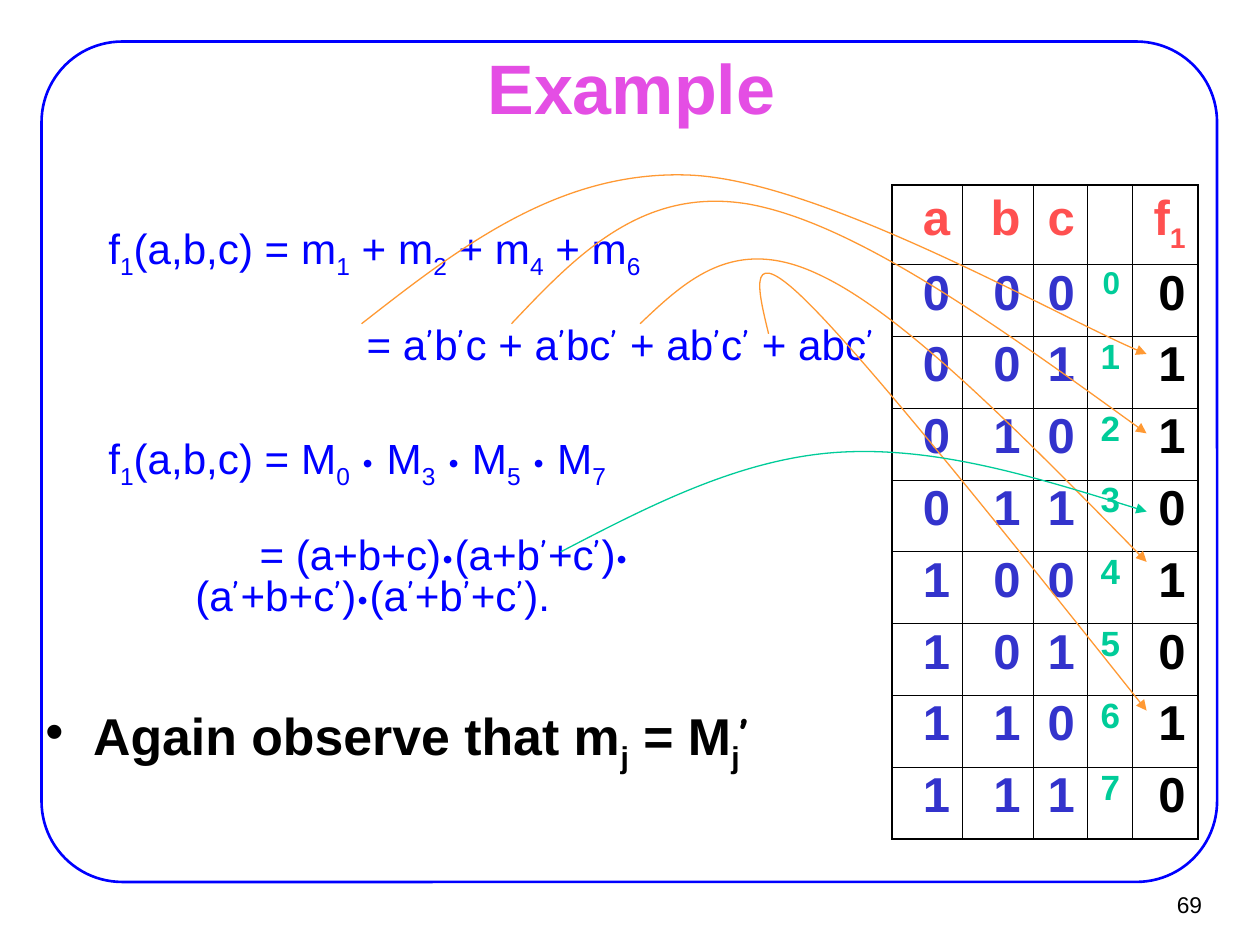
from itertools import product

from lxml.etree import SubElement
from pptx import Presentation
from pptx.dml.color import RGBColor
from pptx.enum.shapes import MSO_SHAPE
from pptx.enum.text import MSO_ANCHOR, PP_ALIGN
from pptx.oxml.ns import qn
from pptx.util import Inches, Pt

THEME = {
    "font": "Arial", "mark_font": "Comic Neue",
    "title": "E44EE4", "formula": "0000FF", "text": "000000",
    "header": "FF5050", "input": "3333CC", "index": "00CC99", "minterm": "FF9933",
    "title_size": 40, "formula_size": 24.1, "bullet_size": 29.6,
    "cell_size": 28, "index_size": 20, "first_index_size": 18, "number_size": 13,
    "thin": 0.45, "thick": 1.08,
}

TITLE = "Example"
PAGE_NUMBER = "69"
# An underscore sets the next character as a subscript.
# Each formula: text, left margin, first line indent, space before.
FORMULAS = [
    ("f_1(a,b,c) = m_1 + m_2 + m_4 + m_6", 0.81, -0.31, 0),
    ("= a’b’c + a’bc’ + ab’c’ + abc’", 2.55, 0, 30.6),
    ("f_1(a,b,c) = M_0 • M_3 • M_5 • M_7", 0.81, -0.31, 40),
    ("= (a+b+c)•(a+b’+c’)•\v(a’+b+c’)•(a’+b’+c’).", 1.19, 0.51, 31),
]
OBSERVATION = ("Again observe that m_j = M_j’", 0.38, -0.38, 52)

HEADERS = ["a", "b", "c", "", "f_1"]
MINTERMS = (1, 2, 4, 6)
COLUMN_WIDTHS = [0.56, 0.56, 0.43, 0.36, 0.52]
HEADER_HEIGHT, ROW_HEIGHT = 0.63, 0.57

# Start point, then two Bezier segments of three points each.
CURVES = [
    ("minterm", [(2.87, 2.57), (3.65, 1.96), (4.44, 1.35), (5.47, 1.39),
                 (6.51, 1.43), (8.49, 2.57), (9.1, 2.81)]),
    ("minterm", [(4.06, 2.57), (4.58, 2.02), (5.1, 1.48), (5.94, 1.62),
                 (6.78, 1.77), (7.94, 2.6), (9.1, 3.44)]),
    ("minterm", [(5.08, 2.57), (5.45, 2.22), (5.83, 1.86), (6.5, 2.18),
                 (7.17, 2.49), (8.13, 3.47), (9.1, 4.46)]),
    ("minterm", [(6.1, 2.65), (6.01, 2.28), (5.92, 1.91), (6.42, 2.41),
                 (6.92, 2.91), (8.01, 4.27), (9.1, 5.64)]),
    ("index", [(4.45, 4.38), (5.16, 4.01), (5.88, 3.64), (6.65, 3.59),
               (7.43, 3.54), (8.26, 3.8), (9.1, 4.06)]),
]


def color(name):
    return RGBColor.from_string(THEME[name])


def split_spans(text):
    """Group characters into (text, is_mark, is_subscript) spans."""
    spans, subscript = [], False
    for character in text:
        if character == "_":
            subscript = True
            continue
        style = (character in "’•", subscript)
        if spans and spans[-1][1:] == style:
            spans[-1] = (spans[-1][0] + character, *style)
        else:
            spans.append((character, *style))
        subscript = False
    return spans


def write(para, text, size, color_name, bold=False):
    for line_number, line in enumerate(text.split("\v")):
        if line_number:
            para.add_line_break()
        for words, is_mark, is_subscript in split_spans(line):
            span = para.add_run()
            span.text = words
            span.font.name = THEME["mark_font" if is_mark else "font"]
            span.font.size = Pt(size)
            span.font.bold = bold
            span.font.color.rgb = color(color_name)
            if is_subscript:
                span.font._element.set("baseline", "-25000")


def place(shape, left, top, width, height):
    shape.left, shape.top = Inches(left), Inches(top)
    shape.width, shape.height = Inches(width), Inches(height)


def set_margins(frame, side, end):
    frame.margin_left = frame.margin_right = Inches(side)
    frame.margin_top = frame.margin_bottom = Inches(end)


def add_frame(page):
    frame = page.shapes.add_shape(MSO_SHAPE.ROUNDED_RECTANGLE, Inches(0.33),
                                  Inches(0.33), Inches(9.33), Inches(6.67))
    frame.adjustments[0] = 0.096
    frame.shadow.inherit = False
    frame.fill.background()
    frame.line.color.rgb = color("formula")
    frame.line.width = Pt(1.5)


def add_title(page):
    title = page.shapes.title
    place(title, 0.76, 0.44, 8.5, 0.49)
    set_margins(title.text_frame, 0.11, 0.06)
    title.text_frame.vertical_anchor = MSO_ANCHOR.MIDDLE
    para = title.text_frame.paragraphs[0]
    para.alignment = PP_ALIGN.CENTER
    write(para, TITLE, THEME["title_size"], "title", bold=True)


def add_body(page):
    body = page.placeholders[1]
    place(body, 0.25, 1.75, 7, 4.92)
    frame = body.text_frame
    set_margins(frame, 0.11, 0.06)
    for number, line in enumerate([*FORMULAS, OBSERVATION]):
        text, margin, indent, space = line
        is_formula = line is not OBSERVATION
        para = frame.add_paragraph() if number else frame.paragraphs[0]
        para.level = 1 if is_formula else 0
        para.line_spacing = 0.8
        para.space_before = Pt(space)
        properties = para._p.get_or_add_pPr()
        properties.set("marL", str(Inches(margin)))
        properties.set("indent", str(Inches(indent)))
        if is_formula:
            SubElement(properties, qn("a:buNone"))
            write(para, text, THEME["formula_size"], "formula")
        else:
            SubElement(properties, qn("a:buChar")).set("char", "•")
            write(para, text, THEME["bullet_size"], "text", bold=True)


def set_border(cell, side, width):
    line = SubElement(cell._tc.get_or_add_tcPr(), qn(f"a:ln{side}"), w=str(Pt(width)))
    fill = SubElement(line, qn("a:solidFill"))
    SubElement(fill, qn("a:srgbClr"), val=THEME["text"])


def add_truth_table(page):
    rows = [HEADERS]
    for index, bits in enumerate(product("01", repeat=3)):
        rows.append([*bits, str(index), str(int(index in MINTERMS))])
    last_row, last_column = len(rows) - 1, len(HEADERS) - 1
    height = HEADER_HEIGHT + last_row * ROW_HEIGHT
    table = page.shapes.add_table(len(rows), len(HEADERS), Inches(7.08), Inches(1.47),
                                  Inches(sum(COLUMN_WIDTHS)), Inches(height)).table
    table.first_row = table.horz_banding = False
    for column, width in zip(table.columns, COLUMN_WIDTHS):
        column.width = Inches(width)
    column_colors = ["input", "input", "input", "index", "text"]
    for r, values in enumerate(rows):
        table.rows[r].height = Inches(ROW_HEIGHT if r else HEADER_HEIGHT)
        for c, value in enumerate(values):
            cell = table.cell(r, c)
            set_margins(cell, 0.1, 0.05)
            if r:
                cell.margin_top = Inches(0.01)
            edges = {"L": c == 0, "R": c == last_column, "T": r == 0, "B": r == last_row}
            for side, is_outer in edges.items():
                set_border(cell, side, THEME["thick" if is_outer else "thin"])
            cell.fill.background()
            size = THEME["cell_size"]
            if column_colors[c] == "index":
                size = THEME["first_index_size" if r == 1 else "index_size"]
            para = cell.text_frame.paragraphs[0]
            para.alignment = PP_ALIGN.RIGHT
            write(para, value, size, column_colors[c] if r else "header", bold=True)


def add_curve(page, color_name, points):
    """Draw the control polygon, then turn each three lines into one Bezier."""
    start, *others = [(Inches(x), Inches(y)) for x, y in points]
    builder = page.shapes.build_freeform(*start)
    builder.add_line_segments(others, close=False)
    curve = builder.convert_to_shape()
    lines = list(curve._element.iter(qn("a:lnTo")))
    for first in range(0, len(lines), 3):
        bezier = SubElement(lines[first].getparent(), qn("a:cubicBezTo"))
        for line in lines[first:first + 3]:
            bezier.append(line[0])
            line.getparent().remove(line)
    curve.shadow.inherit = False
    curve.fill.background()
    curve.line.color.rgb = color(color_name)
    curve.line.width = Pt(0.75)
    SubElement(curve.line._get_or_add_ln(), qn("a:tailEnd"), type="triangle")


def add_page_number(page):
    box = page.shapes.add_textbox(Inches(9.02), Inches(6.99), Inches(0.61), Inches(0.37))
    frame = box.text_frame
    set_margins(frame, 0.09, 0.04)
    frame.vertical_anchor = MSO_ANCHOR.MIDDLE
    frame.word_wrap = True
    para = frame.paragraphs[0]
    para.alignment = PP_ALIGN.RIGHT
    write(para, PAGE_NUMBER, THEME["number_size"], "text")


def main():
    deck = Presentation()
    deck.slide_width, deck.slide_height = Inches(10), Inches(7.5)
    page = deck.slides.add_slide(deck.slide_layouts[1])
    add_frame(page)
    add_title(page)
    add_body(page)
    add_truth_table(page)
    for color_name, points in CURVES:
        add_curve(page, color_name, points)
    add_page_number(page)
    deck.save("out.pptx")


if __name__ == "__main__":
    main()
